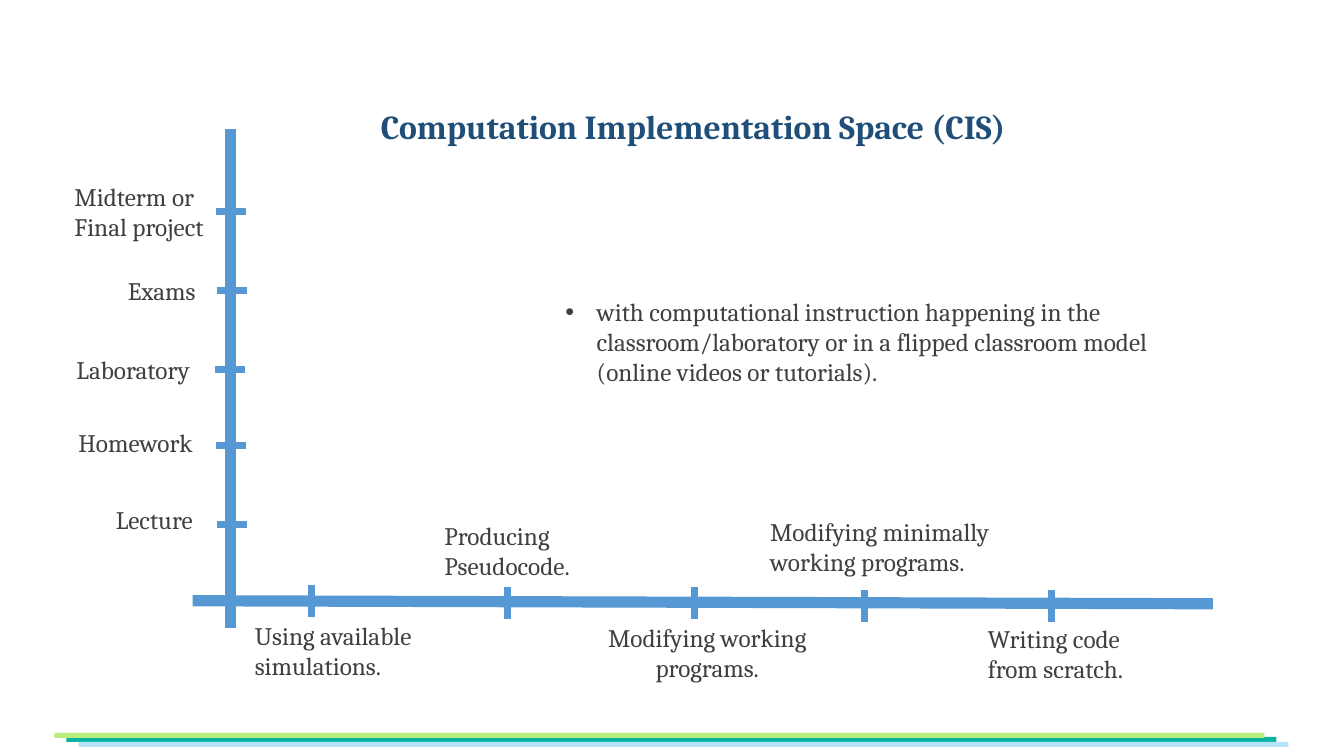
from dataclasses import dataclass

import pptx
import pptx.dml.color
import pptx.enum.shapes
import pptx.enum.text
import pptx.oxml.ns
import pptx.util
from lxml import etree
from pptx.util import Inches


@dataclass(frozen=True)
class Theme:
    font: str = "Cambria"
    title_size: int = 24
    body_size: int = 18
    title_color: str = "1F4E79"
    body_color: str = "404040"
    axis_color: str = "5698D3"
    axis_width: int = 8
    tick_width: int = 5
    footer_green: str = "BCEC7C"
    footer_teal: str = "0AB4A0"
    footer_blue: str = "B5E3F7"


THEME = Theme()
TICK_LENGTH = 0.3

# Label lines, then left, top, width, height
STAGE_LABELS = [
    (["Using available simulations."], 2.43, 6.1, 1.9, 1),
    (["Producing", "Pseudocode."], 4.31, 5.11, 1.8, 0.7),
    (["Modifying minimally working programs."], 7.54, 5.07, 2.46, 1.3),
    (["Writing code from scratch."], 9.7, 6.13, 1.94, 0.7),
]
SETTING_LABELS = [
    (["Midterm or", "Final project"], 0.64, 1.75, 1.8, 1),
    (["Exams"], 1.17, 2.68, 1.31, 0.4),
    (["Laboratory"], 0.66, 3.47, 1.8, 0.4),
    (["Homework"], 0.68, 4.19, 1.8, 0.4),
    (["Lecture"], 1.05, 4.95, 1.8, 0.4),
]
# Tick positions: x and top, then left and y
STAGE_TICKS = [(3.09, 5.8), (5.03, 5.82), (6.89, 5.82), (8.57, 5.85), (10.43, 5.85)]
SETTING_TICKS = [(2.14, 2.1), (2.15, 2.88), (2.13, 3.67), (2.14, 4.42), (2.15, 5.2)]


def rgb(color):
    return pptx.dml.color.RGBColor.from_string(color)


def add_bar(slide, left, top, color):
    """Add one thin footer stripe."""
    bar = slide.shapes.add_shape(
        pptx.enum.shapes.MSO_SHAPE.RECTANGLE,
        Inches(left), Inches(top), Inches(12), Inches(0.05),
    )
    bar.shadow.inherit = False
    bar.fill.solid()
    bar.fill.fore_color.rgb = rgb(color)
    bar.line.fill.background()


def add_line(slide, start, end, width):
    """Add a straight axis or tick line."""
    line = slide.shapes.add_connector(
        pptx.enum.shapes.MSO_CONNECTOR.STRAIGHT,
        *(Inches(value) for value in (*start, *end)),
    )
    line.line.color.rgb = rgb(THEME.axis_color)
    line.line.width = pptx.util.Pt(width)
    properties = line._element.spPr
    etree.SubElement(properties, pptx.oxml.ns.qn("a:effectLst"))


def add_text(slide, lines, left, top, width, height, size=THEME.body_size,
             color=THEME.body_color, bold=False, centered=False):
    """Add a text box with one paragraph per line and return its paragraphs."""
    box = slide.shapes.add_textbox(
        Inches(left), Inches(top), Inches(width), Inches(height)
    )
    frame = box.text_frame
    frame.word_wrap = True
    for index, text in enumerate(lines):
        paragraph = frame.add_paragraph() if index else frame.paragraphs[0]
        if centered:
            paragraph.alignment = pptx.enum.text.PP_ALIGN.CENTER
        run = paragraph.add_run()
        run.text = text
        run.font.name = THEME.font
        run.font.size = pptx.util.Pt(size)
        run.font.bold = bold
        run.font.color.rgb = rgb(color)
    return frame.paragraphs


def add_bullet(paragraph, indent):
    """Give a paragraph a round bullet with a hanging indent."""
    qn = pptx.oxml.ns.qn
    properties = paragraph._p.get_or_add_pPr()
    properties.set("marL", str(Inches(indent)))
    properties.set("indent", str(-Inches(indent)))
    bullet_color = etree.SubElement(properties, qn("a:buClr"))
    etree.SubElement(bullet_color, qn("a:srgbClr"), val=THEME.body_color)
    etree.SubElement(properties, qn("a:buFont"), typeface="Arial")
    etree.SubElement(properties, qn("a:buChar"), char="•")


def main():
    presentation = pptx.Presentation()
    presentation.slide_width = Inches(13.33)
    presentation.slide_height = Inches(7.5)
    slide = presentation.slides.add_slide(presentation.slide_layouts[6])

    # Footer stripes
    add_bar(slide, 0.66, 7.31, THEME.footer_teal)
    add_bar(slide, 0.54, 7.27, THEME.footer_green)
    add_bar(slide, 0.78, 7.36, THEME.footer_blue)

    # Title
    title = add_text(
        slide, ["Computation Implementation Space (CIS)"], 3.68, 0.97, 7.44, 0.95,
        size=THEME.title_size, color=THEME.title_color, bold=True,
    )[0]
    title.line_spacing = 1.07
    title.space_after = pptx.util.Pt(8)

    # Axis labels
    for label in STAGE_LABELS + SETTING_LABELS:
        add_text(slide, *label)
    add_text(slide, ["Modifying working programs."], 5.78, 6.12, 2.47, 1, centered=True)

    # Remark inside the space
    remark = add_text(
        slide,
        ["with computational instruction happening in the classroom/laboratory "
         "or in a flipped classroom model (online videos or tutorials)."],
        5.51, 2.89, 6.67, 1,
    )[0]
    add_bullet(remark, 0.31)

    # Axes and ticks
    add_line(slide, (1.91, 5.96), (12.03, 5.99), THEME.axis_width)
    add_line(slide, (2.29, 6.23), (2.29, 1.28), THEME.axis_width)
    for x, top in STAGE_TICKS:
        add_line(slide, (x, top), (x, top + TICK_LENGTH + 0.02), THEME.tick_width)
    for left, y in SETTING_TICKS:
        add_line(slide, (left, y), (left + TICK_LENGTH, y), THEME.tick_width)

    presentation.save("out.pptx")


if __name__ == "__main__":
    main()
